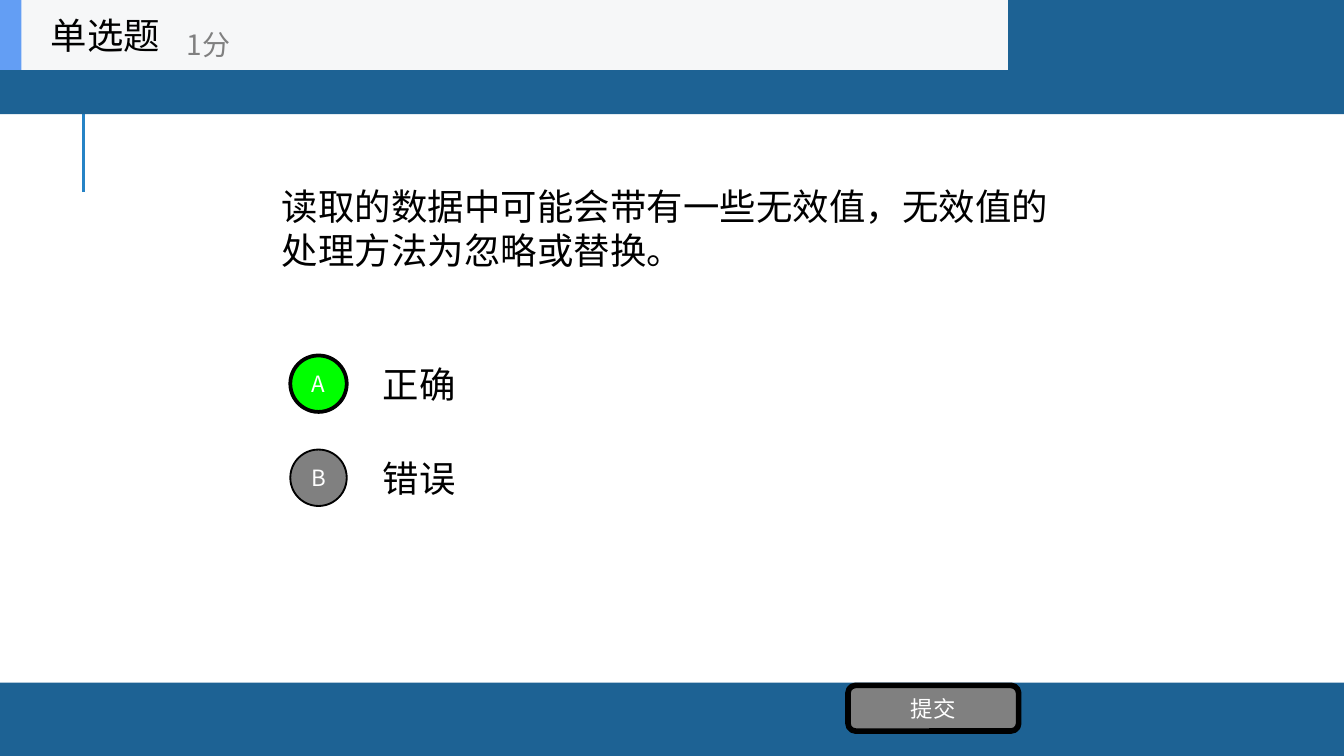
import pptx
import pptx.util
import pptx.dml.color
import pptx.enum.shapes
import pptx.enum.text
import pptx.oxml.ns
import lxml.etree

Inches, Pt = pptx.util.Inches, pptx.util.Pt
SHAPE = pptx.enum.shapes.MSO_SHAPE
ALIGN = pptx.enum.text.PP_ALIGN

THEME = {
    "font": "Noto Sans CJK SC",
    "band": "1D6294", "rule": "2683C6", "header": "F6F7F8", "accent": "639EF4",
    "ink": "000000", "muted": "808080", "light": "FFFFFF", "chosen": "00FF00",
    "body": 19.5, "score": 15, "label": 12,
}

HEADING, SCORE = "单选题", "1分"
QUESTION = "读取的数据中可能会带有一些无效值，无效值的处理方法为忽略或替换。"
OPTIONS = [  # letter, answer, fill, outline width
    ("A", "正确", "chosen", 2),
    ("B", "错误", "muted", 1),
]
SUBMIT = "提交"

WIDTH = 10
HEIGHT = WIDTH * 9 / 16
OPTION_TOP, OPTION_STEP, OPTION_HEIGHT, BADGE = 2.59, 0.7, 0.53, 0.42


def rgb(name):
    return pptx.dml.color.RGBColor.from_string(THEME[name])


def write(s, text, size, color, align=ALIGN.LEFT):
    tf = s.text_frame
    tf.word_wrap = True
    tf.vertical_anchor = pptx.enum.text.MSO_ANCHOR.MIDDLE
    p = tf.paragraphs[0]
    p.alignment = align
    r = p.add_run()
    r.text = text
    r.font.size = Pt(THEME[size])
    r.font.color.rgb = rgb(color)
    r.font.name = THEME["font"]
    ea = lxml.etree.SubElement(r.font._element, pptx.oxml.ns.qn("a:ea"))
    ea.set("typeface", THEME["font"])


def add_text(slide, box, text, size="body", color="ink", wrap=True):
    s = slide.shapes.add_textbox(*map(Inches, box))
    write(s, text, size, color)
    s.text_frame.word_wrap = wrap


def add_block(slide, box, fill, kind=SHAPE.RECTANGLE):
    s = slide.shapes.add_shape(kind, *map(Inches, box))
    s.shadow.inherit = False
    s.fill.solid()
    s.fill.fore_color.rgb = rgb(fill)
    s.line.fill.background()
    return s


def add_button(slide, box, text, fill, outline, kind):
    s = add_block(slide, box, fill, kind)
    s.line.color.rgb = rgb("ink")
    s.line.width = Pt(outline)
    tf = s.text_frame
    tf.margin_left = tf.margin_right = Inches(0.07)
    tf.margin_top = tf.margin_bottom = Inches(0.04)
    write(s, text, "label", "light", ALIGN.CENTER)


def add_rule(slide, x, top, bottom):
    s = slide.shapes.add_connector(
        pptx.enum.shapes.MSO_CONNECTOR.STRAIGHT, *map(Inches, (x, bottom, x, top)))
    s.line.color.rgb = rgb("rule")
    s.line.width = Pt(1.5)
    lxml.etree.SubElement(s._element.spPr, pptx.oxml.ns.qn("a:effectLst"))


def main():
    prs = pptx.Presentation()
    prs.slide_width, prs.slide_height = Inches(WIDTH), Inches(HEIGHT)
    slide = prs.slides.add_slide(prs.slide_layouts[6])

    add_rule(slide, 0.62, 0.68, 1.43)
    add_block(slide, (0, 5.08, WIDTH, HEIGHT - 5.08), "band")
    add_block(slide, (0, -0.03, WIDTH, 0.88), "band")

    add_text(slide, (2, 0.52, 6, 2.35), QUESTION)
    for i, (letter, answer, fill, outline) in enumerate(OPTIONS):
        top = OPTION_TOP + i * OPTION_STEP
        add_text(slide, (2.75, top, 5.25, OPTION_HEIGHT), answer)
        badge_top = top + (OPTION_HEIGHT - BADGE) / 2
        add_button(slide, (2.16, badge_top, BADGE, BADGE), letter, fill, outline, SHAPE.OVAL)
    add_button(slide, (6.31, 5.1, 1.27, 0.34), SUBMIT, "muted", 3, SHAPE.ROUNDED_RECTANGLE)

    add_block(slide, (0, 0, 7.5, 0.52), "header")
    add_block(slide, (0, 0, 0.16, 0.52), "accent")
    add_text(slide, (0.28, 0, 1.56, 0.52), HEADING, wrap=False)
    add_text(slide, (1.29, 0.12, 1.88, 0.42), SCORE, "score", "muted", wrap=False)
    prs.save("out.pptx")


if __name__ == "__main__":
    main()
